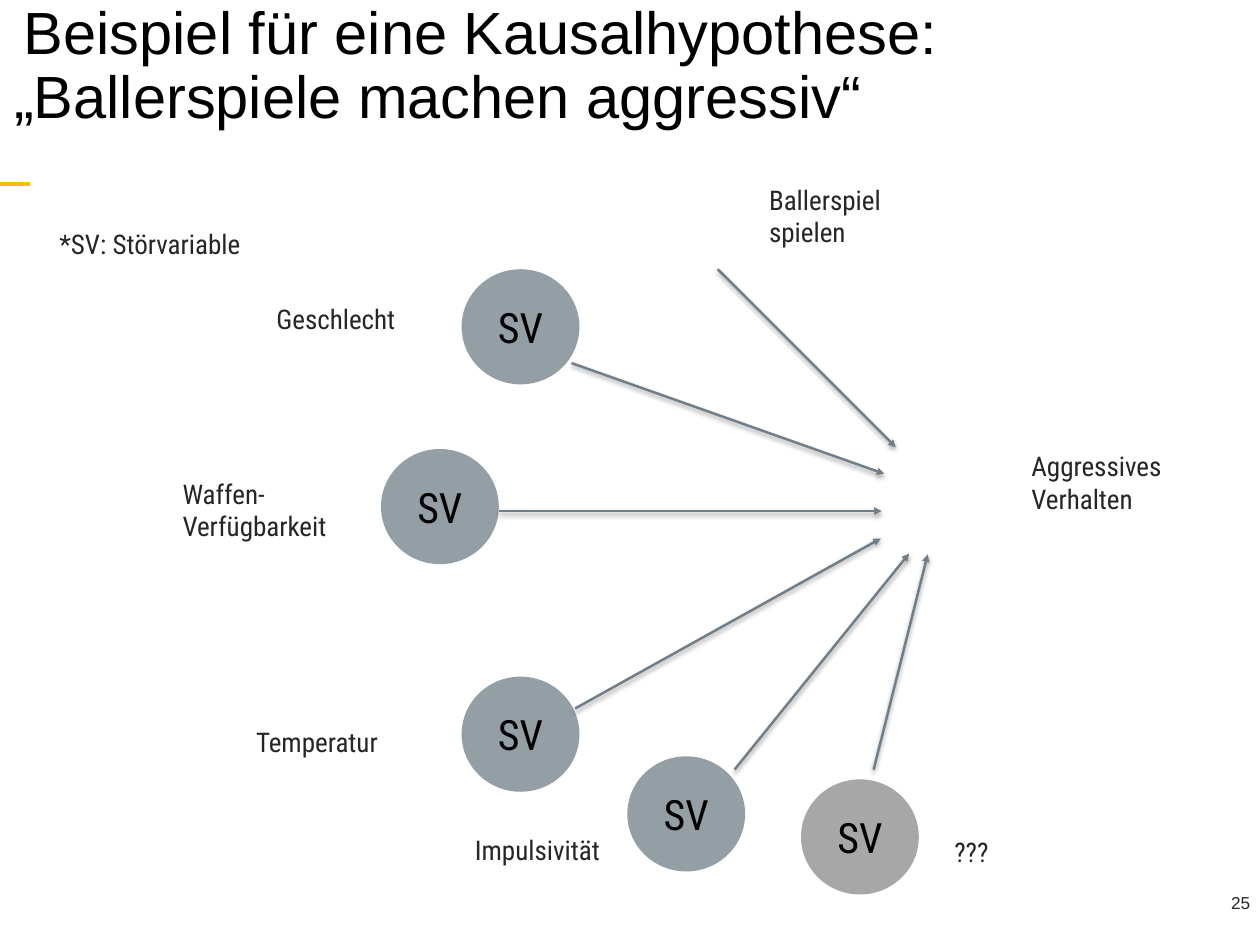
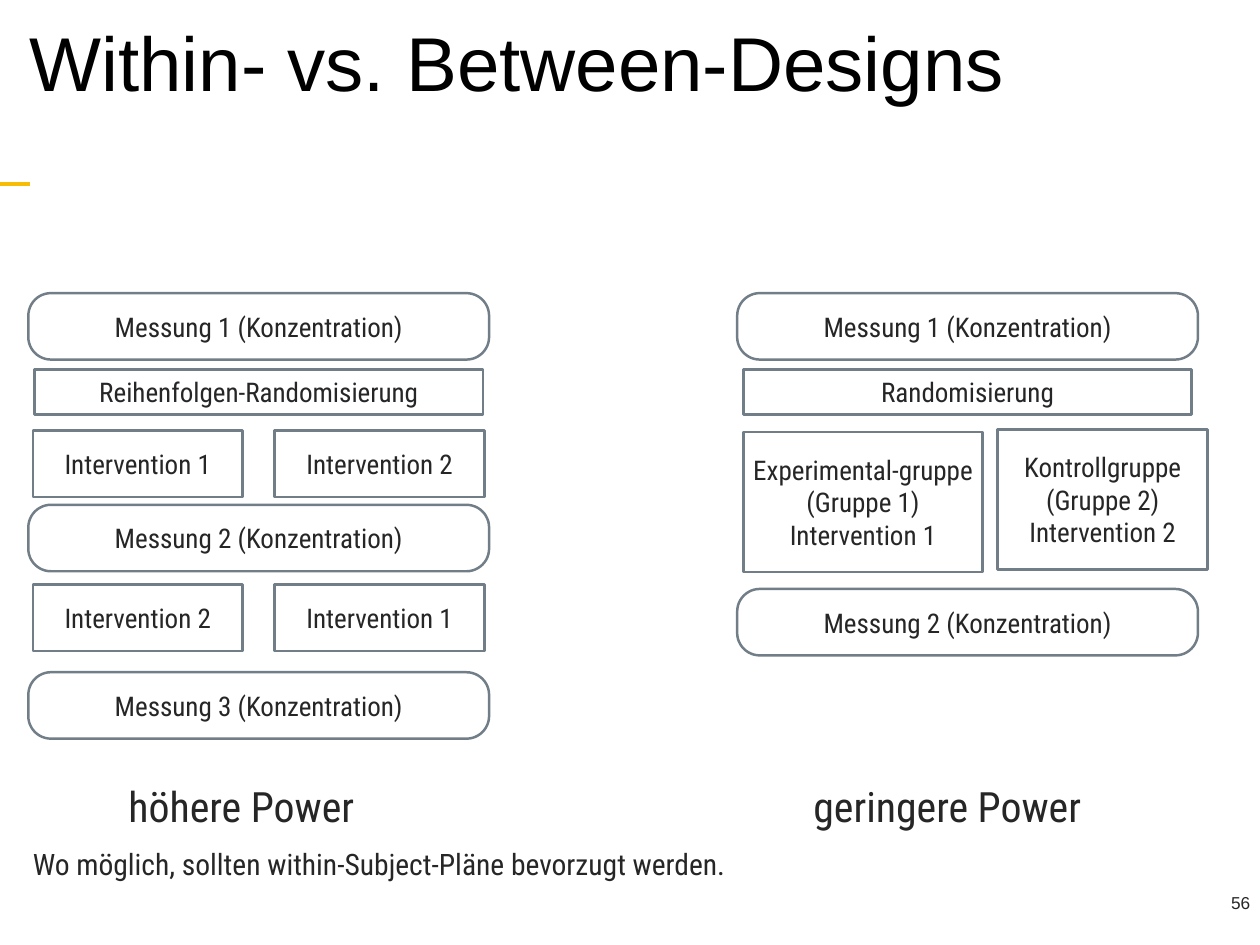
import lxml.etree
import pptx
import pptx.dml.color
import pptx.enum.shapes
import pptx.enum.text
import pptx.oxml.ns
import pptx.util

Inches = pptx.util.Inches
Pt = pptx.util.Pt
RGBColor = pptx.dml.color.RGBColor
Align = pptx.enum.text.PP_ALIGN
Anchor = pptx.enum.text.MSO_ANCHOR
AutoSize = pptx.enum.text.MSO_AUTO_SIZE
Shape = pptx.enum.shapes.MSO_SHAPE
STRAIGHT = pptx.enum.shapes.MSO_CONNECTOR.STRAIGHT
qn = pptx.oxml.ns.qn

BLACK = RGBColor(0x00, 0x00, 0x00)
WHITE = RGBColor(0xFF, 0xFF, 0xFF)
INK = RGBColor(0x26, 0x26, 0x26)
SLATE = RGBColor(0x71, 0x7D, 0x87)
STEEL = RGBColor(0x94, 0x9E, 0xA5)
GREY = RGBColor(0xA7, 0xA7, 0xA7)
YELLOW = RGBColor(0xF7, 0xBC, 0x05)


class Deck:
    title_font = "Arial"
    body_font = "Roboto Condensed"
    body_size = 22
    large_size = 34
    inset = 0.07

    def __init__(self):
        self.presentation = pptx.Presentation()
        self.presentation.slide_width = Inches(14.22)
        self.presentation.slide_height = Inches(10.67)
        self.slide = None

    def add_slide(self, title, size, indent, number):
        layout = self.presentation.slide_layouts[5]
        self.slide = self.presentation.slides.add_slide(layout)
        self.line((0, 2.08), (0.34, 2.08), YELLOW, 3)
        self.label(number, 11.81, 10, 2.37, 0.36, size=14,
                   font=self.title_font, align=Align.RIGHT)
        heading = self.slide.shapes.title
        heading.left, heading.top = Inches(0), Inches(-0.02)
        heading.width, heading.height = Inches(14.23), Inches(1.55)
        self.set_text(heading.text_frame, title, size, BLACK, Align.LEFT,
                      font=self.title_font, inset=0.05)
        heading.text_frame.auto_size = AutoSize.NONE
        paragraph = heading.text_frame.paragraphs[0]
        paragraph.line_spacing = 0.9
        properties = paragraph._p.get_or_add_pPr()
        properties.set("marL", str(Inches(indent)))
        properties.set("indent", str(Inches(indent)))

    def set_text(self, frame, text, size, color, align, anchor=Anchor.MIDDLE,
                 font=body_font, inset=inset):
        frame.word_wrap = True
        frame.vertical_anchor = anchor
        frame.margin_left = frame.margin_right = Inches(inset)
        frame.margin_top = frame.margin_bottom = Inches(inset)
        paragraph = frame.paragraphs[0]
        paragraph.text = text
        paragraph.alignment = align
        paragraph.font.name = font
        paragraph.font.size = Pt(size)
        paragraph.font.color.rgb = color

    def label(self, text, left, top, width=2.2, height=0.49, size=body_size,
              font=body_font, align=Align.LEFT, wrap=True):
        box = self.slide.shapes.add_textbox(
            Inches(left), Inches(top), Inches(width), Inches(height))
        self.set_text(box.text_frame, text, size, INK, align, Anchor.TOP, font)
        box.text_frame.word_wrap = wrap
        box.text_frame.auto_size = AutoSize.SHAPE_TO_FIT_TEXT

    def block(self, kind, text, left, top, width, height, fill=WHITE,
              border=SLATE, size=body_size, color=INK):
        block = self.slide.shapes.add_shape(
            kind, Inches(left), Inches(top), Inches(width), Inches(height))
        block.shadow.inherit = False
        block.fill.solid()
        block.fill.fore_color.rgb = fill
        if border is None:
            block.line.fill.background()
        else:
            block.line.color.rgb = border
            block.line.width = Pt(2)
        self.set_text(block.text_frame, text, size, color, Align.CENTER)
        return block

    def variable(self, left, top, fill=STEEL):
        self.block(Shape.OVAL, "SV", left, top, 1.33, 1.3, fill, None,
                   self.large_size, BLACK)

    def measurement(self, number, left, top):
        bar = self.block(Shape.ROUNDED_RECTANGLE,
                         f"Messung {number} (Konzentration)",
                         left, top, 5.2, 0.75)
        bar.adjustments[0] = 0.34

    def step(self, text, left, top, width=2.37, height=0.75):
        self.block(Shape.RECTANGLE, text, left, top, width, height)

    def line(self, start, end, color, width):
        connector = self.slide.shapes.add_connector(
            STRAIGHT, *map(Inches, start + end))
        connector.line.color.rgb = color
        connector.line.width = Pt(width)
        effects = lxml.etree.SubElement(
            connector._element.spPr, qn("a:effectLst"))
        return connector, effects

    def arrow(self, start, end):
        connector, effects = self.line(start, end, SLATE, 2)
        outline = connector._element.spPr.find(qn("a:ln"))
        lxml.etree.SubElement(outline, qn("a:tailEnd"), type="triangle")
        shadow = lxml.etree.SubElement(
            effects, qn("a:outerShdw"), blurRad=str(Pt(4)), dist=str(Pt(2)),
            dir="5400000", rotWithShape="0")
        tint = lxml.etree.SubElement(shadow, qn("a:srgbClr"), val=str(BLACK))
        lxml.etree.SubElement(tint, qn("a:alpha"), val="38000")


def build_hypothesis(deck):
    deck.add_slide(
        "Beispiel für eine Kausalhypothese: „Ballerspiele machen aggressiv“",
        48.4, 0.11, "25")
    for left, top in ((5.21, 3.04), (4.3, 5.07), (5.21, 7.64), (7.08, 8.54)):
        deck.variable(left, top)
    deck.variable(9.04, 8.8, GREY)
    for start, end in (
        ((8.1, 3.04), (10.11, 5.05)),
        ((6.45, 4.1), (9.98, 5.35)),
        ((5.63, 5.77), (9.95, 5.77)),
        ((6.49, 8), (9.94, 6.08)),
        ((8.29, 8.69), (10.26, 6.25)),
        ((9.86, 8.69), (10.47, 6.26)),
    ):
        deck.arrow(start, end)
    for text, left, top in (
        ("Geschlecht", 3.05, 3.35),
        ("Temperatur", 2.82, 8.12),
        ("Impulsivität", 5.29, 9.34),
        ("???", 10.7, 9.36),
    ):
        deck.label(text, left, top)
    for text, left, top in (
        ("Aggressives Verhalten", 11.57, 5.01),
        ("Ballerspiel\nspielen", 8.61, 2),
        ("Waffen-Verfügbarkeit", 1.99, 5.32),
    ):
        deck.label(text, left, top, height=0.84)
    deck.label("*SV: Störvariable", 0.6, 2.5, width=3.4)


def build_designs(deck):
    deck.add_slide("Within- vs. Between-Designs", 62, 0.14, "56")
    within, between = 0.32, 8.32
    for column, randomisation, tops in (
        (within, "Reihenfolgen-Randomisierung", (3.31, 5.7, 7.59)),
        (between, "Randomisierung", (3.31, 6.65)),
    ):
        for number, top in enumerate(tops, 1):
            deck.measurement(number, column, top)
        deck.step(randomisation, column + 0.07, 4.17, 5.06, 0.51)
    for top, order in ((4.86, (1, 2)), (6.6, (2, 1))):
        for left, number in zip((0.37, 3.1), order):
            deck.step(f"Intervention {number}", left, top)
    deck.step("Experimental-gruppe (Gruppe 1)\nIntervention 1",
              8.39, 4.88, 2.7, 1.58)
    deck.step("Kontrollgruppe (Gruppe 2)\nIntervention 2",
              11.26, 4.85, height=1.58)
    for text, left, width in (("höhere Power", 1.38, 2.71),
                              ("geringere Power", 9.11, 3.18)):
        deck.label(text, left, 8.74, width, 0.7, deck.large_size, wrap=False)
    deck.label("Wo möglich, sollten within-Subject-Pläne bevorzugt werden.",
               0.3, 9.48, 7.97, 0.53, 24, wrap=False)


def main():
    deck = Deck()
    build_hypothesis(deck)
    build_designs(deck)
    deck.presentation.save("out.pptx")


if __name__ == "__main__":
    main()
